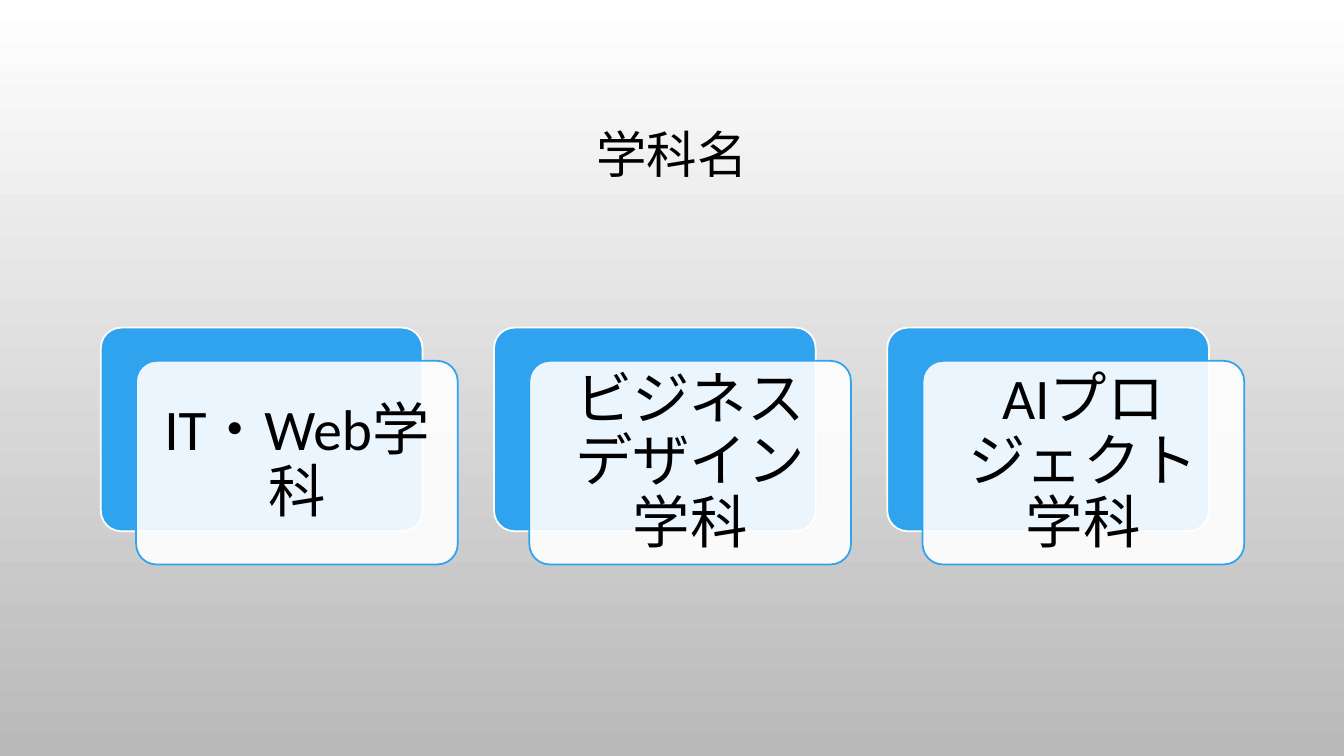
"""Build a slide that names three school departments on layered cards."""
from lxml import etree
from pptx import Presentation
from pptx import util as u
from pptx.dml.color import RGBColor
from pptx.enum import shapes, text
from pptx.oxml.ns import qn

BLUE, WHITE, BLACK = "2FA3EE", "FFFFFF", "000000"
CARD_WIDTH, CARD_HEIGHT = 3.19, 2.02
LEFT, TOP, COLUMN_STEP = 1, 3.25, 3.9
SHIFT_X, SHIFT_Y, TEXT_MARGIN = 0.35, 0.33, 0.06


def color(value):
    return RGBColor.from_string(value)


def add_text(page, left, top, width, height, words, size, inset):
    box = page.shapes.add_textbox(
        u.Inches(left), u.Inches(top), u.Inches(width), u.Inches(height))
    frame = box.text_frame
    frame.word_wrap = True
    frame.vertical_anchor = text.MSO_ANCHOR.MIDDLE
    frame.margin_left = frame.margin_right = u.Inches(inset)
    frame.margin_top = frame.margin_bottom = u.Inches(inset)
    para = frame.paragraphs[0]
    para.text = words
    para.alignment = text.PP_ALIGN.CENTER
    para.line_spacing = 0.9
    para.font.name = "Calibri"
    para.font.size = u.Pt(size)
    para.font.color.rgb = color(BLACK)


deck = Presentation()
deck.slide_width, deck.slide_height = u.Inches(13.33), u.Inches(7.5)
page = deck.slides.add_slide(deck.slide_layouts[6])

backdrop = page.background.fill
backdrop.gradient()
backdrop.gradient_angle = 270
for stop, shade in zip(backdrop.gradient_stops, (WHITE, "B9B9B9")):
    stop.color.rgb = color(shade)

add_text(page, 1, 0.68, 11.33, 1.75, "学科名", 36, 0.1)

departments = ["IT・Web学科", "ビジネスデザイン学科", "AIプロジェクト学科"]
for column, department in enumerate(departments):
    left = LEFT + column * COLUMN_STEP
    for layer, (fill, line) in enumerate([(BLUE, WHITE), (WHITE, BLUE)]):
        card = page.shapes.add_shape(
            shapes.MSO_SHAPE.ROUNDED_RECTANGLE,
            u.Inches(left + layer * SHIFT_X), u.Inches(TOP + layer * SHIFT_Y),
            u.Inches(CARD_WIDTH), u.Inches(CARD_HEIGHT))
        card.adjustments[0] = 0.1
        card.shadow.inherit = False
        card.fill.solid()
        card.fill.fore_color.rgb = color(fill)
        card.line.color.rgb = color(line)
        card.line.width = u.Pt(1.25)
    front_fill = card.element.spPr.find(qn("a:solidFill"))
    etree.SubElement(front_fill[0], qn("a:alpha"), val="90000")
    add_text(page, left + SHIFT_X + TEXT_MARGIN, TOP + SHIFT_Y + TEXT_MARGIN,
             CARD_WIDTH - 2 * TEXT_MARGIN, CARD_HEIGHT - 2 * TEXT_MARGIN,
             department, 41, 0.17)

deck.save("out.pptx")
